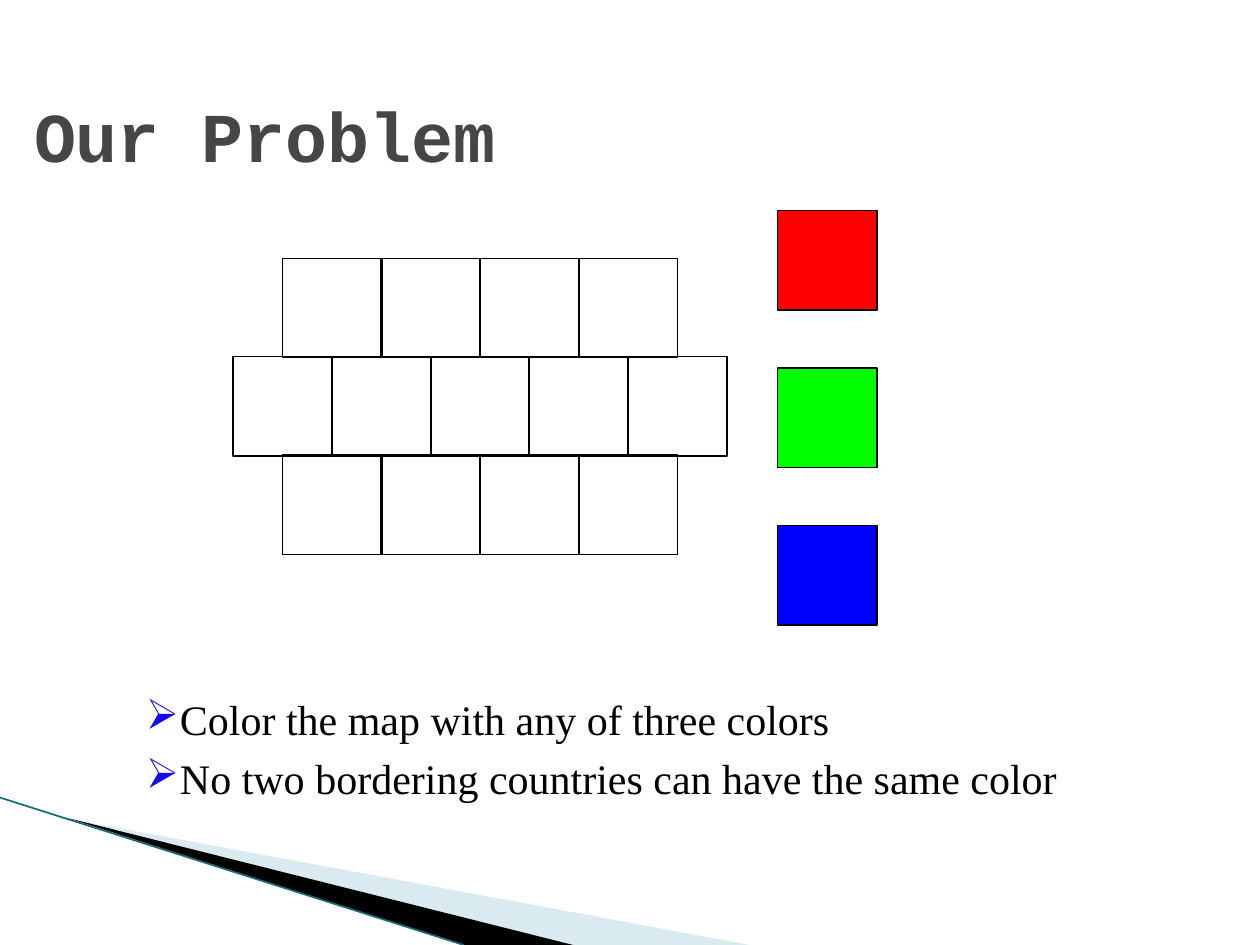
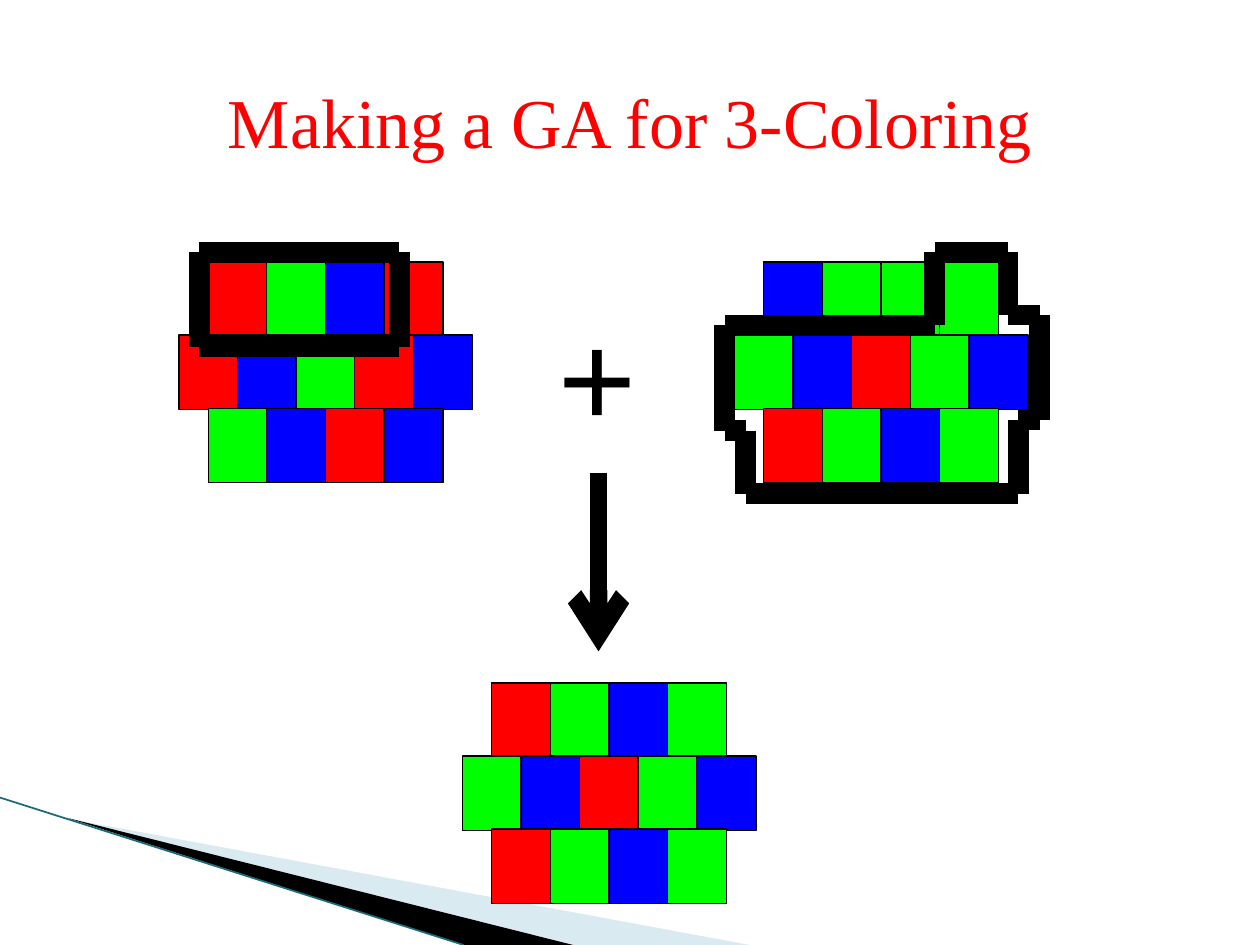
from dataclasses import dataclass
from itertools import pairwise

from lxml.etree import SubElement
from pptx import Presentation
from pptx.dml.color import RGBColor
from pptx.enum.shapes import MSO_CONNECTOR, MSO_SHAPE
from pptx.enum.text import MSO_ANCHOR, MSO_AUTO_SIZE, PP_ALIGN
from pptx.oxml.ns import qn
from pptx.util import Inches, Pt

BLACK = "000000"
RED, GREEN, BLUE = "FF0000", "00FF00", "0000FF"
BULLET_BLUE = "160AEB"
PALE_BLUE = "A0CBDC"
TEAL = "1B6B7C"
TITLE_GRAY = "464646"
COLOR_OF = {"R": RED, "G": GREEN, "B": BLUE, "-": None}
SERIF = "Times New Roman"
MONOSPACE = "Courier New"


@dataclass(frozen=True)
class Box:
    """A rectangle in inches."""
    left: float
    top: float
    width: float
    height: float

    def lengths(self) -> tuple:
        """Return left, top, width and height as lengths."""
        return tuple(map(Inches, (self.left, self.top, self.width, self.height)))


@dataclass(frozen=True)
class TextStyle:
    """Font settings of a piece of text."""
    font: str
    size: float
    color: str
    bold: bool = False


@dataclass(frozen=True)
class CountryMap:
    """Rows of country cells; each letter is a colour, a dash is no colour."""
    box: Box
    cell_width: float
    cell_height: float
    rows: tuple


def rgb(color: str) -> RGBColor:
    """Turn a hex string into a colour."""
    return RGBColor.from_string(color)


def style_text(paragraph, style: TextStyle) -> None:
    """Format all runs of a paragraph."""
    for run in paragraph.runs:
        run.font.name = style.font
        run.font.size = Pt(style.size)
        run.font.bold = style.bold
        run.font.color.rgb = rgb(style.color)


def set_title(slide, text: str, box: Box, style: TextStyle, alignment) -> None:
    """Fill and place the title placeholder."""
    title = slide.shapes.title
    title.left, title.top, title.width, title.height = box.lengths()
    frame = title.text_frame
    frame.text = text
    frame.word_wrap = True
    frame.auto_size = MSO_AUTO_SIZE.NONE
    frame.vertical_anchor = MSO_ANCHOR.MIDDLE
    frame.paragraphs[0].alignment = alignment
    style_text(frame.paragraphs[0], style)


def add_text(slide, lines: list, box: Box, style: TextStyle) -> list:
    """Add a text box with one paragraph a line and return the paragraphs."""
    frame = slide.shapes.add_textbox(*box.lengths()).text_frame
    frame.word_wrap = True
    frame.text = "\n".join(lines)
    for paragraph in frame.paragraphs:
        style_text(paragraph, style)
    return list(frame.paragraphs)


def add_bullet(paragraph, indent: float) -> None:
    """Give a paragraph an arrowhead bullet with a hanging indent."""
    paragraph.line_spacing = 0.9
    paragraph.space_before = Pt(8)
    properties = paragraph._p.get_or_add_pPr()
    properties.set("marL", str(Inches(indent)))
    properties.set("indent", str(-Inches(indent)))
    bullet_color = SubElement(properties, qn("a:buClr"))
    SubElement(bullet_color, qn("a:srgbClr")).set("val", BULLET_BLUE)
    SubElement(properties, qn("a:buChar")).set("char", "➢")


def add_cell(shapes, box: Box, fill: str | None) -> None:
    """Add one thin-bordered country cell."""
    cell = shapes.add_shape(MSO_SHAPE.RECTANGLE, *box.lengths())
    cell.shadow.inherit = False
    cell.line.color.rgb = rgb(BLACK)
    cell.line.width = Pt(0.75)
    if fill is None:
        cell.fill.background()
    else:
        cell.fill.solid()
        cell.fill.fore_color.rgb = rgb(fill)


def add_map(slide, country_map: CountryMap) -> None:
    """Add a grouped map whose shorter rows are centred like bricks."""
    group = slide.shapes.add_group_shape()
    box, rows = country_map.box, country_map.rows
    longest = max(map(len, rows))
    step_x = (box.width - country_map.cell_width) / (longest - 1)
    step_y = (box.height - country_map.cell_height) / (len(rows) - 1)
    for row_index, row in enumerate(rows):
        row_left = box.left + (longest - len(row)) * step_x / 2
        for column, letter in enumerate(row):
            cell_box = Box(row_left + column * step_x, box.top + row_index * step_y,
                           country_map.cell_width, country_map.cell_height)
            add_cell(group.shapes, cell_box, COLOR_OF[letter])


def add_line(shapes, start: tuple, end: tuple, color: str, width: float):
    """Add a straight line between two points in inches."""
    line = shapes.add_connector(MSO_CONNECTOR.STRAIGHT, *map(Inches, start + end))
    line.line.color.rgb = rgb(color)
    line.line.width = Pt(width)
    SubElement(line.element.spPr, qn("a:effectLst"))
    return line


def add_outline(slide, corners: list) -> None:
    """Draw a closed thick outline as a group of lines."""
    group = slide.shapes.add_group_shape()
    for start, end in pairwise(corners + corners[:1]):
        add_line(group.shapes, start, end, BLACK, 12)


def add_wedge(slide, corners: list, color: str):
    """Add a filled shape without a border."""
    points = [tuple(map(Inches, corner)) for corner in corners]
    builder = slide.shapes.build_freeform(*points[0], scale=1.0)
    builder.add_line_segments(points[1:], close=True)
    wedge = builder.convert_to_shape()
    wedge.shadow.inherit = False
    wedge.fill.solid()
    wedge.fill.fore_color.rgb = rgb(color)
    wedge.line.fill.background()
    return wedge


def decorate_layout(layout, slide) -> None:
    """Build the corner band on a slide and move it to the shared layout."""
    pale = add_wedge(slide, [(0.55, 6.5), (5.95, 7.5), (4.56, 7.5)], PALE_BLUE)
    color_element = pale.element.spPr.find(qn("a:solidFill")).find(qn("a:srgbClr"))
    SubElement(color_element, qn("a:alpha")).set("val", "40000")
    dark = add_wedge(slide, [(0.53, 6.49), (4.55, 7.5), (3.68, 7.5)], BLACK)
    edge = add_line(slide.shapes, (0, 6.33), (3.68, 7.5), TEAL, 1)
    for index, shape in enumerate((pale, dark, edge), start=2):
        layout.shapes.element.insert(index, shape.element)


def build_problem_slide(slide) -> None:
    """Show the empty map, the three colours and the rules."""
    set_title(slide, "Our Problem", Box(0.17, 0.67, 8.5, 0.79),
              TextStyle(MONOSPACE, 40, TITLE_GRAY, True), PP_ALIGN.LEFT)
    rules = ["Color the map with any of three colors",
             "No two bordering countries can have the same color"]
    for paragraph in add_text(slide, rules, Box(1.06, 5.5, 7.86, 0.94),
                              TextStyle(SERIF, 24, BLACK)):
        add_bullet(paragraph, 0.27)
    add_map(slide, CountryMap(Box(1.85, 2.05, 3.92, 2.35), 0.79, 0.79,
                              ("----", "-----", "----")))
    for index, color in enumerate((RED, GREEN, BLUE)):
        add_cell(slide.shapes, Box(6.17, 1.67 + 1.25 * index, 0.79, 0.79), color)


def build_crossover_slide(slide) -> None:
    """Show two parent maps combined into a child map."""
    set_title(slide, "Making a GA for 3-Coloring", Box(0, 0.33, 10, 1.25),
              TextStyle(SERIF, 40, RED), PP_ALIGN.CENTER)
    colorings = [
        (1.42, 2.08, ("RGBR", "RBGRB", "GBRB")),
        (5.83, 2.08, ("BGGG", "GBRGB", "RGBG")),
        (3.67, 5.42, ("RGBG", "GBRGB", "RGBG")),
    ]
    for left, top, rows in colorings:
        add_map(slide, CountryMap(Box(left, top, 2.33, 1.75), 0.47, 0.59, rows))
    add_outline(slide, [(7.42, 2), (7.42, 2.58), (5.75, 2.58), (5.75, 3.42),
                        (5.92, 3.42), (5.92, 3.92), (8.08, 3.92), (8.08, 3.33),
                        (8.25, 3.33), (8.25, 2.5), (8, 2.5), (8, 2)])
    add_outline(slide, [(1.58, 2), (3.17, 2), (3.17, 2.75), (1.58, 2.75)])
    add_text(slide, ["+"], Box(4.33, 2.25, 1.17, 1.44),
             TextStyle(SERIF, 80, BLACK, True))
    arrow = add_line(slide.shapes, (4.75, 3.75), (4.75, 5.17), BLACK, 10)
    SubElement(arrow.line._get_or_add_ln(), qn("a:tailEnd")).set("type", "arrow")


def main() -> None:
    """Build and save the presentation."""
    presentation = Presentation()
    presentation.slide_width, presentation.slide_height = Inches(10), Inches(7.5)
    layout = presentation.slide_layouts.get_by_name("Title Only")
    problem_slide = presentation.slides.add_slide(layout)
    decorate_layout(layout, problem_slide)
    build_problem_slide(problem_slide)
    build_crossover_slide(presentation.slides.add_slide(layout))
    presentation.save("out.pptx")


main()
